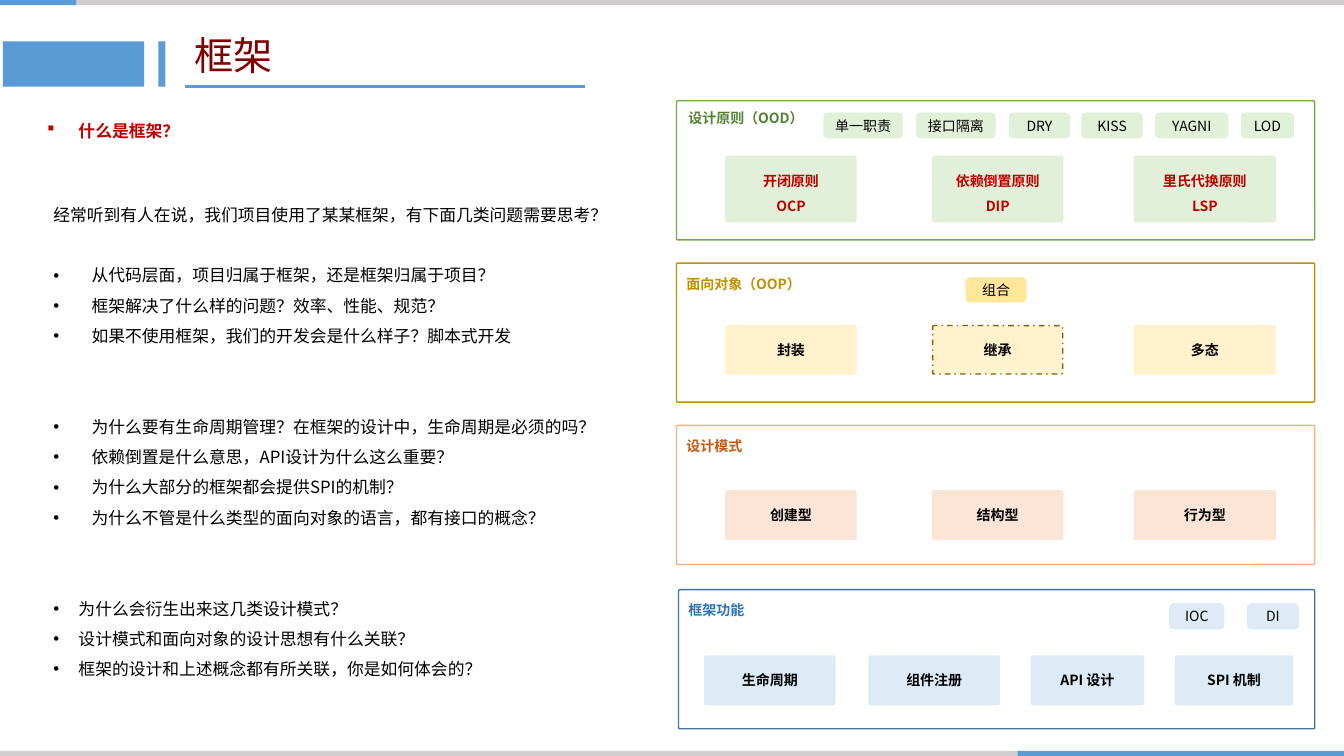
from lxml import etree
from pptx import Presentation
from pptx import util as u
from pptx.dml.color import RGBColor
from pptx.enum import dml, shapes, text
from pptx.oxml import ns

# Content: lengths are px, 100 to the inch
TITLE = "框架"
HEADING = "什么是框架？"
INTRO = "经常听到有人在说，我们项目使用了某某框架，有下面几类问题需要思考？"
# (bullet indent, gap above in lines, questions)
QUESTIONS = [
    (38, 1, ["从代码层面，项目归属于框架，还是框架归属于项目？",
             "框架解决了什么样的问题？效率、性能、规范？",
             "如果不使用框架，我们的开发会是什么样子？脚本式开发"]),
    (38, 2, ["为什么要有生命周期管理？在框架的设计中，生命周期是必须的吗？",
             "依赖倒置是什么意思，API设计为什么这么重要？",
             "为什么大部分的框架都会提供SPI的机制？",
             "为什么不管是什么类型的面向对象的语言，都有接口的概念？"]),
    (25, 2, ["为什么会衍生出来这几类设计模式？",
             "设计模式和面向对象的设计思想有什么关联？",
             "框架的设计和上述概念都有所关联，你是如何体会的？"]),
]
THIRDS = [(720, 129), (925, 129), (1125, 140)]
QUARTERS = [(699, 129), (862, 129), (1023, 111), (1166, 116)]
# blocks fill `columns`; each chip is (name, left, width)
PANELS = [
    dict(name="设计原则（OOD）", hue="green", left=671, top=100, label_at=(673, 104),
         columns=THIRDS, block_top=155, block_h=65,
         blocks=["开闭原则\nOCP", "依赖倒置原则\nDIP", "里氏代换原则\nLSP"],
         chip_top=112, chips=[("单一职责", 817, 78), ("接口隔离", 909, 78), ("DRY", 1001, 60),
                              ("KISS", 1073, 60), ("YAGNI", 1146, 72), ("LOD", 1231, 52)]),
    dict(name="面向对象（OOP）", hue="gold", left=671, top=261, label_at=(671, 268),
         columns=THIRDS, block_top=323, block_h=48, blocks=["封装", "继承", "多态"],
         chip_top=275, chips=[("组合", 958, 60)]),
    dict(name="设计模式", hue="orange", left=671, top=422, label_at=(671, 429),
         columns=THIRDS, block_top=487, block_h=48, blocks=["创建型", "结构型", "行为型"],
         chip_top=0, chips=[]),
    dict(name="框架功能", hue="blue", left=673, top=585, label_at=(673, 592),
         columns=QUARTERS, block_top=651, block_h=48,
         blocks=["生命周期", "组件注册", "API 设计", "SPI 机制"],
         chip_top=599, chips=[("IOC", 1160, 54), ("DI", 1237, 51)]),
]
DASHED = "继承"
PANEL_RIGHT, PANEL_H, CHIP_H = 1304, 138, 25

THEME = dict(
    font="Noto Sans CJK SC", title_pt=28, body_pt=12, label_pt=10, line_pt=21.7,
    accent="5B9BD5", grey="D0CECE", title="800000", red="C00000",
    black="000000", white="FFFFFF", dash="806000",
    # outline, label, block, chip, block text
    green=("70AD47", "548235", "E2F0D9", "E2F0D9", "C00000"),
    gold=("BF9000", "BF9000", "FFF2CC", "FFE699", "000000"),
    orange=("F4B183", "C55A11", "FBE5D6", "FBE5D6", "000000"),
    blue=("43739E", "2E75B6", "DEEBF7", "DEEBF7", "000000"),
)
PX = 9144

prs = Presentation()
prs.slide_width, prs.slide_height = 1333 * PX, 750 * PX
s = prs.slides.add_slide(prs.slide_layouts[6])


def rgb(value):
    return RGBColor.from_string(value)


def style(p, size, color, bold=False, spacing=None):
    if spacing:
        p.line_spacing = spacing
    for r in p.runs:
        r.font.size, r.font.bold, r.font.name = u.Pt(size), bold, THEME["font"]
        r.font.color.rgb = rgb(color)
        etree.SubElement(r.font._element, ns.qn("a:ea"), typeface=THEME["font"])


def bullet(p, char, font, indent):
    pPr = p._p.get_or_add_pPr()
    pPr.set("marL", str(indent * PX))
    pPr.set("indent", str(-indent * PX))
    etree.SubElement(pPr, ns.qn("a:buFont"), typeface=font)
    etree.SubElement(pPr, ns.qn("a:buChar"), char=char)


def box(left, top, width, height, fill, line=None, line_pt=1, radius=None):
    kind = shapes.MSO_SHAPE.RECTANGLE if radius is None else shapes.MSO_SHAPE.ROUNDED_RECTANGLE
    sp = s.shapes.add_shape(kind, left * PX, top * PX, width * PX, height * PX)
    sp.shadow.inherit = False
    sp.fill.solid()
    sp.fill.fore_color.rgb = rgb(fill)
    if radius is not None:
        sp.adjustments[0] = radius
    if line:
        sp.line.color.rgb, sp.line.width = rgb(line), u.Pt(line_pt)
    else:
        sp.line.fill.background()
    return sp


def caption(sp, words, color, bold, spacing=None):
    tf = sp.text_frame
    tf.margin_left = tf.margin_right = 0
    tf.vertical_anchor = text.MSO_ANCHOR.MIDDLE
    tf.text = words
    for p in tf.paragraphs:
        p.alignment = text.PP_ALIGN.CENTER
        style(p, THEME["label_pt"], color, bold, spacing)


def textbox(left, top, width, height, words):
    tf = s.shapes.add_textbox(left * PX, top * PX, width * PX, height * PX).text_frame
    tf.word_wrap = True
    tf.text = words
    return tf


# Edge bars and title marks
for left, top, width, height, color in [
        (1009, 745, 324, 5, "accent"), (0, 745, 1009, 5, "grey"),
        (0, 0, 76, 5, "accent"), (76, 0, 1257, 5, "grey"),
        (3, 41, 140, 45, "accent"), (157, 41, 7, 45, "accent")]:
    box(left, top, width, height, THEME[color])

# Title and its rule
tf = textbox(183, 28, 407, 58, TITLE)
tf.vertical_anchor = text.MSO_ANCHOR.MIDDLE
style(tf.paragraphs[0], THEME["title_pt"], THEME["title"], spacing=0.9)
rule = s.shapes.add_connector(shapes.MSO_CONNECTOR.STRAIGHT, 183 * PX, 86 * PX, 580 * PX, 86 * PX)
rule.line.color.rgb, rule.line.width = rgb(THEME["accent"]), u.Pt(2.25)
etree.SubElement(rule._element.spPr, ns.qn("a:effectLst"))

# Heading and questions
p = textbox(37, 105, 238, 40, HEADING).paragraphs[0]
bullet(p, "§", "Wingdings", 31)
style(p, THEME["body_pt"], THEME["red"], True, 1.5)

tf = textbox(43, 188, 588, 525, INTRO)
style(tf.paragraphs[0], THEME["body_pt"], THEME["black"], spacing=1.5)
for indent, gap, questions in QUESTIONS:
    for i, question in enumerate(questions):
        p = tf.add_paragraph()
        p.text = question
        bullet(p, "•", "Arial", indent)
        if i == 0:
            p.space_before = u.Pt(gap * THEME["line_pt"])
        style(p, THEME["body_pt"], THEME["black"], spacing=1.5)

# Panels with their blocks and chips
for panel in PANELS:
    outline, label, block, chip, ink = THEME[panel["hue"]]
    box(panel["left"], panel["top"], PANEL_RIGHT - panel["left"], PANEL_H,
        THEME["white"], outline, radius=0.01)
    tf = textbox(*panel["label_at"], 143, 27, panel["name"])
    style(tf.paragraphs[0], THEME["label_pt"], label, True)
    for name, (left, width) in zip(panel["blocks"], panel["columns"]):
        dashed = name == DASHED
        sp = box(left, panel["block_top"], width, panel["block_h"], block,
                 THEME["dash"] if dashed else block, radius=0.03)
        if dashed:
            sp.line.dash_style = dml.MSO_LINE.DASH_DOT
        caption(sp, name, ink, True, 1.5 if "\n" in name else None)
    for name, left, width in panel["chips"]:
        sp = box(left, panel["chip_top"], width, CHIP_H, chip, block, 0.5, radius=0.17)
        caption(sp, name, THEME["black"], False)

prs.save("out.pptx")
